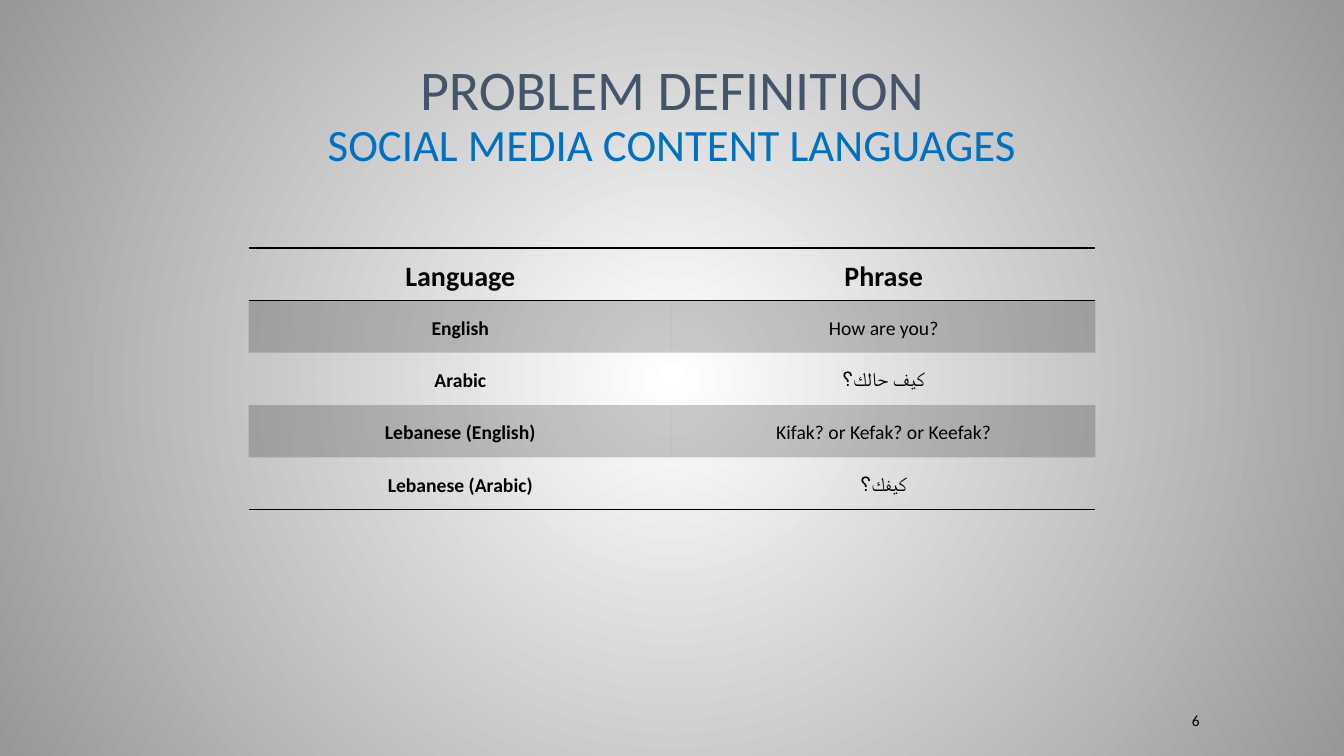
from copy import deepcopy

from lxml.etree import SubElement
from pptx import Presentation
from pptx.dml.color import RGBColor
from pptx.enum.text import MSO_ANCHOR as Anchor, MSO_AUTO_SIZE as AutoSize, PP_ALIGN as Align
from pptx.oxml import parse_xml
from pptx.oxml.ns import nsdecls, qn
from pptx.util import Inches, Pt

COLORS = {
    "heading": "44546A",
    "subheading": "0070C0",
    "ink": "000000",
    "center": "FFFFFF",
    "edge": "979797",
}
FONT = "Calibri"
PLAIN_TABLE_STYLE = "{2D5ABB26-0587-4C30-8999-92F81FD0307C}"
BAND_OPACITY = 20
PHRASES = [
    ("Language", "Phrase"),
    ("English", "How are you?"),
    ("Arabic", "كيف حالك؟"),
    ("Lebanese (English)", "Kifak? or Kefak? or Keefak?"),
    ("Lebanese (Arabic)", "كيفك؟"),
]


def add_span(para, text, size, color="ink", bold=False):
    span = para.add_run()
    span.text = text
    span.font.name = FONT
    span.font.size = Pt(size)
    span.font.bold = bold
    span.font.color.rgb = RGBColor.from_string(COLORS[color])
    return span


def paint_background(page):
    """Fill the page with a gradient that spreads in circles from its middle."""
    stops = "".join(
        f'<a:gs pos="{share * 1000}"><a:srgbClr val="{COLORS[name]}"/></a:gs>'
        for share, name in ((0, "center"), (100, "edge"))
    )
    page.background.fill.solid()
    properties = page.background._cSld.bg.bgPr
    properties.replace(properties[0], parse_xml(
        f'<a:gradFill {nsdecls("a")} rotWithShape="1"><a:gsLst>{stops}</a:gsLst>'
        '<a:path path="circle"><a:fillToRect l="50000" t="50000" r="50000" b="50000"/>'
        '</a:path></a:gradFill>'
    ))


def place(shape, box):
    shape.left, shape.top, shape.width, shape.height = map(Inches, box)


def fill_title(page, box):
    title = page.shapes.title
    place(title, box)
    frame = title.text_frame
    frame.auto_size = AutoSize.NONE
    frame.vertical_anchor = Anchor.BOTTOM
    para = frame.paragraphs[0]
    para.alignment = Align.CENTER
    para.line_spacing = 0.9
    heading = add_span(para, "PROBLEM DEFINITION", 40, "heading")
    para.add_line_break()
    para._p[-1].append(deepcopy(heading._r.rPr))
    add_span(para, "SOCIAL MEDIA CONTENT LANGUAGES", 32, "subheading")


def add_rule(cell, side):
    """Draw a thin border on one side of a cell, "T" or "B"."""
    cell._tc.get_or_add_tcPr().append(parse_xml(
        f'<a:ln{side} {nsdecls("a")} w="{Pt(1)}"><a:solidFill>'
        f'<a:srgbClr val="{COLORS["ink"]}"/></a:solidFill></a:ln{side}>'
    ))


def shade(cell):
    cell.fill.solid()
    cell.fill.fore_color.rgb = RGBColor.from_string(COLORS["ink"])
    color = cell._tc.tcPr.find(qn("a:solidFill"))[0]
    SubElement(color, qn("a:alpha"), val=str(BAND_OPACITY * 1000))


def fill_cell(cell, text, row, column):
    header = row == 0
    cell.margin_left = cell.margin_right = Inches(0.07)
    cell.margin_top = cell.margin_bottom = 0
    cell.vertical_anchor = Anchor.MIDDLE
    para = cell.text_frame.paragraphs[0]
    para.alignment = Align.CENTER
    para.line_spacing = 1.15
    para.space_after = Pt(6)
    add_span(para, text, 20 if header else 14, bold=header or column == 0)
    if header:
        add_rule(cell, "T")
    if header or row == len(PHRASES) - 1:
        add_rule(cell, "B")
    if row % 2:
        shade(cell)
    else:
        cell.fill.background()


def add_phrase_table(page, box):
    rows, columns = len(PHRASES), len(PHRASES[0])
    table = page.shapes.add_table(rows, columns, *map(Inches, box)).table
    table.first_row = table.horz_banding = False
    table._tbl.tblPr.find(qn("a:tableStyleId")).text = PLAIN_TABLE_STYLE
    for row, texts in enumerate(PHRASES):
        for column, text in enumerate(texts):
            fill_cell(table.cell(row, column), text, row, column)


def add_page_number(page, box, number):
    frame = page.shapes.add_textbox(*map(Inches, box)).text_frame
    frame.word_wrap = True
    frame.vertical_anchor = Anchor.MIDDLE
    para = frame.paragraphs[0]
    para.alignment = Align.RIGHT
    add_span(para, str(number), 11)


def main():
    deck = Presentation()
    width, height = 13.33, 7.5
    deck.slide_width, deck.slide_height = Inches(width), Inches(height)
    page = deck.slides.add_slide(deck.slide_layouts[5])
    paint_background(page)

    margin = width * 0.1
    inner = width - 2 * margin
    table_width = width * 0.63
    fill_title(page, (margin, height * 0.04, inner, 1.45))
    add_phrase_table(page, ((width - table_width) / 2, 2.46, table_width, 0.52 * len(PHRASES)))
    add_page_number(page, (margin + inner - 1.25, height * 0.94, 1.25, 0.2), 6)
    deck.save("out.pptx")


if __name__ == "__main__":
    main()
